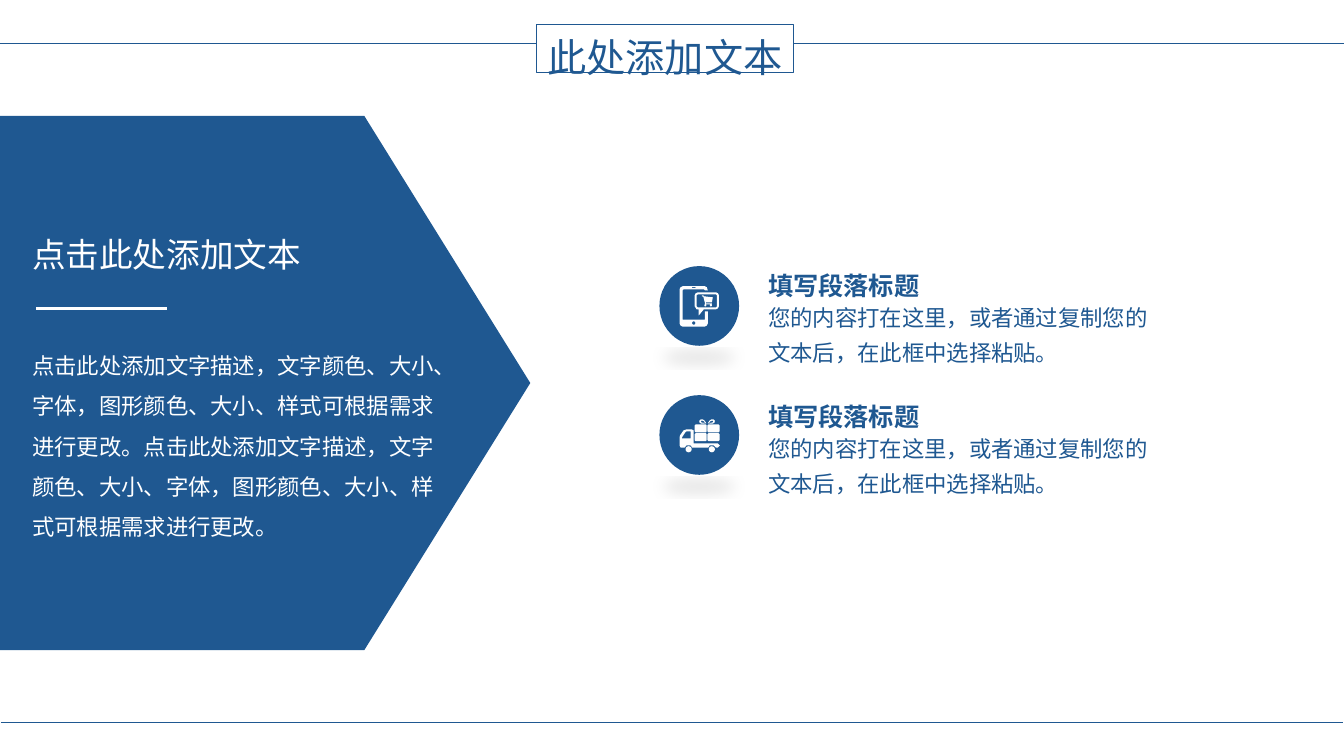
import math
from dataclasses import dataclass

import pptx
import pptx.dml.color
import pptx.enum.shapes
import pptx.enum.text
import pptx.oxml
import pptx.oxml.ns
import pptx.util
from pptx.util import Inches


@dataclass(frozen=True)
class Theme:
    font: str = "Noto Sans CJK SC"
    blue: str = "1F5891"
    white: str = "FFFFFF"
    icon: str = "FEFEFE"
    title: int = 28
    panel_title: int = 24
    item_title: int = 18
    body: int = 16


THEME = Theme()
SHAPES = pptx.enum.shapes.MSO_SHAPE

PANEL_TEXT = "点击此处添加文字描述，文字颜色、大小、字体，图形颜色、大小、样式可根据需求进行更改。" * 2
ITEM_TITLE = "填写段落标题"
ITEM_TEXT = "您的内容打在这里，或者通过复制您的文本后，在此框中选择粘贴。"


def rgb(color):
    return pptx.dml.color.RGBColor.from_string(color)


# Text
def write(shape, text, size, color, leading, bold=False, align=None, inset=(0.1, 0.05), wrap=True):
    frame = shape.text_frame
    frame.word_wrap = wrap
    frame.vertical_anchor = pptx.enum.text.MSO_ANCHOR.TOP
    frame.margin_left = frame.margin_right = Inches(inset[0])
    frame.margin_top = frame.margin_bottom = Inches(inset[1])
    frame.text = text
    para = frame.paragraphs[0]
    para.alignment = align or pptx.enum.text.PP_ALIGN.LEFT
    para.line_spacing = pptx.util.Pt(leading)
    span = para.runs[0]
    span.font.size = pptx.util.Pt(size)
    span.font.bold = bold
    span.font.color.rgb = rgb(color)
    span.font.name = THEME.font
    east_asian = pptx.oxml.parse_xml(
        f'<a:ea {pptx.oxml.ns.nsdecls("a")} typeface="{THEME.font}"/>')
    span.font._element.find(pptx.oxml.ns.qn("a:latin")).addnext(east_asian)


def add_text(page, place, *content, **style):
    box = page.shapes.add_textbox(*map(Inches, place))
    write(box, *content, **style)


# Shapes and lines
def add_block(page, kind, place, fill=None, line=None):
    block = page.shapes.add_shape(kind, *map(Inches, place))
    block.shadow.inherit = False
    if fill:
        block.fill.solid()
        block.fill.fore_color.rgb = rgb(fill)
    else:
        block.fill.background()
    if line:
        block.line.color.rgb = rgb(line)
        block.line.width = pptx.util.Pt(0.75)
    else:
        block.line.fill.background()
    return block


def add_rule(page, left, right, y, color=THEME.blue, width=0.5):
    rule = page.shapes.add_connector(
        pptx.enum.shapes.MSO_CONNECTOR.STRAIGHT,
        Inches(left), Inches(y), Inches(right), Inches(y))
    rule.line.color.rgb = rgb(color)
    rule.line.width = pptx.util.Pt(width)
    properties = rule._element.spPr
    properties.append(pptx.oxml.parse_xml(f'<a:effectLst {pptx.oxml.ns.nsdecls("a")}/>'))


def add_disc(page, left, top):
    disc = add_block(page, SHAPES.OVAL, (left, top, 0.79, 0.79), THEME.blue)
    # Flattened soft shadow under the disc
    effects = disc._element.spPr.find(pptx.oxml.ns.qn("a:effectLst"))
    effects.append(pptx.oxml.parse_xml(
        f'<a:outerShdw {pptx.oxml.ns.nsdecls("a")} blurRad="139700" dist="38100" '
        'dir="5400000" sx="90000" sy="-19000" rotWithShape="0">'
        '<a:srgbClr val="000000"><a:alpha val="10000"/></a:srgbClr></a:outerShdw>'))


# Icon outlines, in hundredths of an inch from the icon's corner
def circle(x, y, radius, steps=24):
    turns = [2 * math.pi * step / steps for step in range(steps)]
    return [(x + radius * math.cos(turn), y + radius * math.sin(turn)) for turn in turns]


def bevel(left, top, right, bottom, cut=1):
    return [(left + cut, top), (right - cut, top), (right, top + cut), (right, bottom - cut),
            (right - cut, bottom), (left + cut, bottom), (left, bottom - cut), (left, top + cut)]


def mirror(outline, axis):
    return [(2 * axis - x, y) for x, y in outline]


def phone_icon():
    body = [(0, 3), (1, 1), (3, 0), (25, 0), (27, 1), (28, 4), (25, 4), (24, 3), (4, 3), (3, 4),
            (3, 33), (25, 33), (25, 25), (28, 25), (28, 37), (27, 39), (25, 40), (3, 40),
            (1, 39), (0, 37)]
    bubble = [(18, 6), (36, 6), (38, 7), (39, 9), (39, 20), (38, 22), (36, 23), (24, 23),
              (19, 29), (19, 23), (17, 23), (15, 20), (15, 9), (16, 7)]
    cart = [(22, 9), (23.5, 9), (24.5, 10), (33, 11), (32, 16), (26, 16), (26, 17), (32, 17),
            (32, 18), (25, 18), (25, 16), (23.5, 10.3), (22, 10)]
    return [body, bevel(12, 1, 16, 2, 0.4), circle(14, 36.5, 1.7), bubble,
            bevel(17, 8, 37, 21), cart, circle(25.5, 19, 1), circle(31, 19, 1)]


def truck_icon():
    body = [(0, 20), (0.5, 18), (4, 13), (7, 12), (12, 12), (14, 13), (14, 26), (38, 26),
            (40, 28), (38, 30), (36, 30), (34, 27.8), (30, 27.8), (28.5, 30), (12.5, 30),
            (11, 27.8), (7, 27.8), (5, 30), (1, 30), (0, 28)]
    window = [(11, 14), (7, 14), (6, 14.5), (3, 19), (2, 21), (11, 21)]
    loop = [(26.5, 6), (25, 3.5), (23, 2), (21, 2), (19.5, 3.5), (20, 5.5), (22, 6.4)]
    gap = [(25.5, 5.6), (24, 3.8), (22, 3.2), (21, 4), (22, 5.3)]
    gifts = [bevel(left, top, left + 12, top + 8)
             for left in (15, 27.7) for top in (7, 15.7)]
    return [body, window, *gifts, loop, gap, mirror(loop, 27.3), mirror(gap, 27.3),
            circle(9, 31.7, 3), circle(32, 31.7, 3)]


def add_icon(page, left, top, outlines):
    placed = [[(Inches(left + x / 100), Inches(top + y / 100)) for x, y in outline]
              for outline in outlines]
    builder = page.shapes.build_freeform(*placed[0][0])
    for number, points in enumerate(placed):
        if number:
            builder.move_to(*points[0])
        builder.add_line_segments(points[1:], close=True)
    icon = builder.convert_to_shape()
    icon.shadow.inherit = False
    icon.fill.solid()
    icon.fill.fore_color.rgb = rgb(THEME.icon)
    icon.line.fill.background()


# Parts of the slide
def add_header(page):
    center = pptx.enum.text.PP_ALIGN.CENTER
    box = add_block(page, SHAPES.RECTANGLE, (5.32, 0.24, 2.55, 0.48), line=THEME.blue)
    write(box, "此处添加文本", THEME.title, THEME.blue, 40, align=center, inset=(0, 0))
    for left, right, y in ((0, 5.32, 0.43), (7.87, 13.33, 0.43), (0.01, 13.32, 7.17)):
        add_rule(page, left, right, y)


def add_panel(page):
    panel = add_block(page, SHAPES.PENTAGON, (0, 1.15, 5.26, 5.3), THEME.blue)
    panel.adjustments[0] = 0.313
    add_text(page, (0.22, 2.24, 4.53, 0.5), "点击此处添加文本", THEME.panel_title, THEME.white, 31)
    add_text(page, (0.22, 3.31, 4.25, 2.12), PANEL_TEXT, THEME.body, THEME.white, 28.8)
    add_rule(page, 0.36, 1.66, 3.06, THEME.white, 2.25)


def add_item(page, number, outlines, icon_drop):
    disc_top = 2.64 + 1.28 * number
    text_top = 2.51 + 1.3 * number
    add_disc(page, 6.54, disc_top)
    add_icon(page, 6.74, disc_top + icon_drop, outlines)
    add_text(page, (7.52, text_top, 1.72, 0.4), ITEM_TITLE, THEME.item_title, THEME.blue, 34,
             bold=True, inset=(0.1, 0), wrap=False)
    add_text(page, (7.52, text_top + 0.38, 4.09, 0.77), ITEM_TEXT, THEME.body, THEME.blue, 25)


def main():
    deck = pptx.Presentation()
    deck.slide_width, deck.slide_height = Inches(13.33), Inches(7.5)
    page = deck.slides.add_slide(deck.slide_layouts[6])
    add_panel(page)
    add_header(page)
    add_item(page, 0, phone_icon(), 0.2)
    add_item(page, 1, truck_icon(), 0.22)
    deck.save("out.pptx")


if __name__ == "__main__":
    main()
